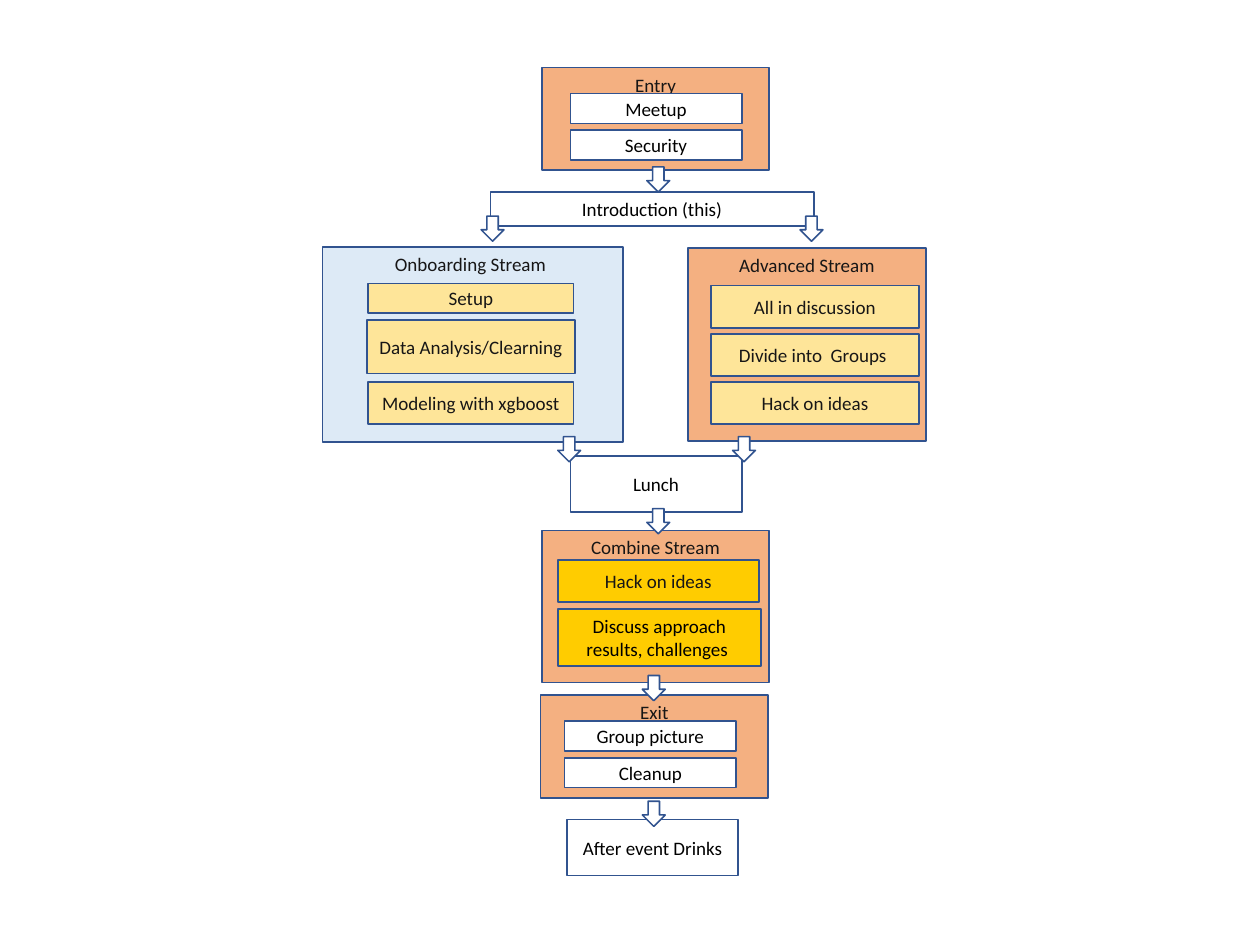
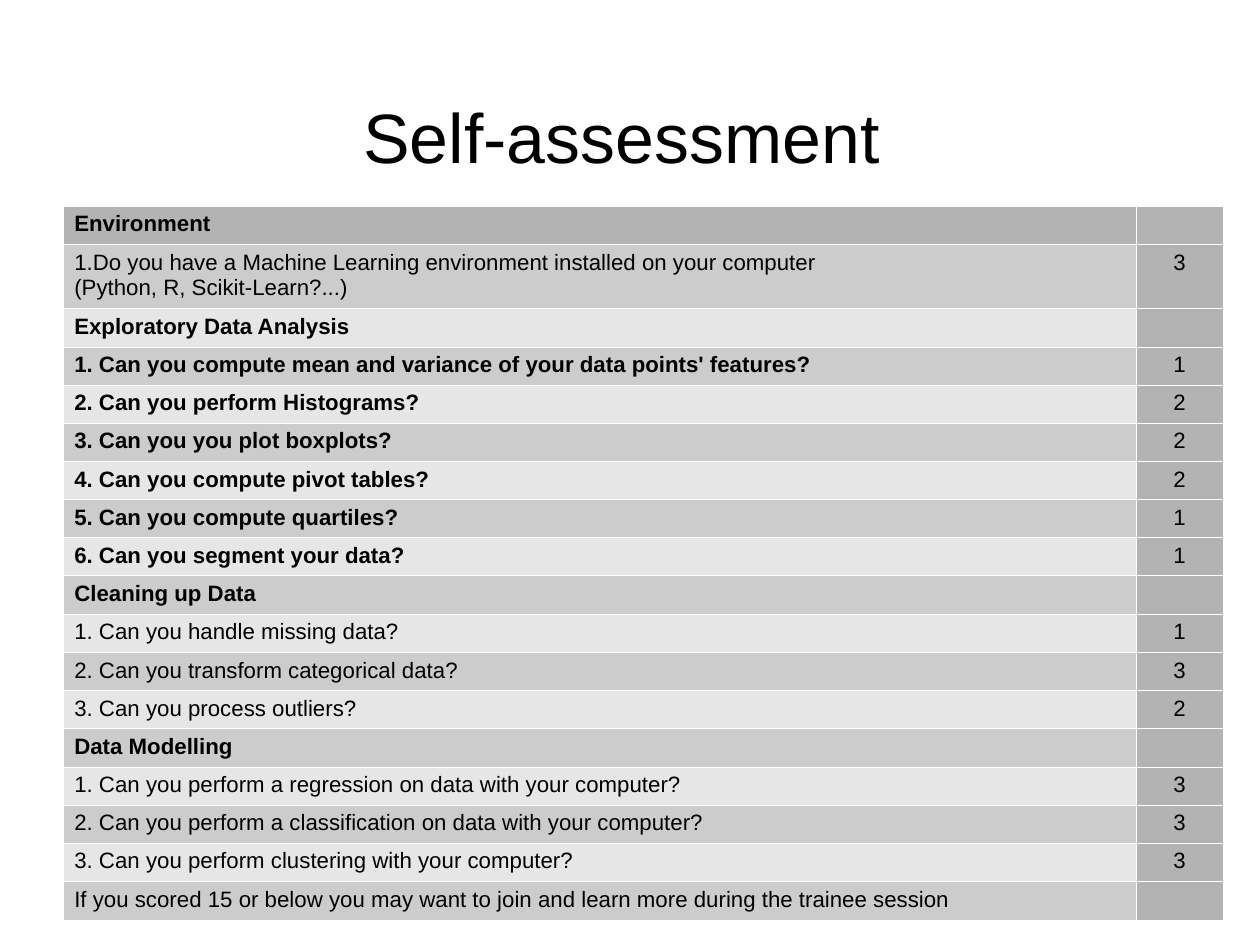
from lxml import etree
from pptx import Presentation
from pptx.dml.color import RGBColor
from pptx.enum import shapes, text
from pptx.oxml.ns import qn
from pptx.util import Cm, Inches, Pt

COLORS = {
    "white": "FFFFFF", "black": "000000", "ink": "171616", "outline": "31538F",
    "orange": "F4B081", "blue": "DDEAF6", "cream": "FEE599", "gold": "FFCC00",
    "header": "B3B3B3", "odd": "CCCCCC", "even": "E6E6E6",
}
FLOW_FONT, FLOW_SIZE = "Calibri", 12
TABLE_FONT, TABLE_SIZE, TITLE_SIZE = "Arial", 14, 44

STAGES = [
    ((4.74, 0.59, 1.99, 0.9), "Entry", "orange", "white", [
        (0.25, 0.23, 1.5, 0.26, "Meetup", "black"),
        (0.25, 0.55, 1.5, 0.26, "Security", "black")]),
    ((2.82, 2.16, 2.63, 1.71), "Onboarding Stream ", "blue", "cream", [
        (0.4, 0.32, 1.8, 0.26, "Setup", "ink"),
        (0.39, 0.64, 1.82, 0.47, "Data Analysis/Clearning", "ink"),
        (0.4, 1.18, 1.8, 0.37, "Modeling with xgboost", "ink")]),
    ((6.02, 2.17, 2.08, 1.69), "Advanced Stream", "orange", "cream", [
        (0.2, 0.33 + 0.42 * row, 1.82, 0.37, label, "ink")
        for row, label in enumerate(
            ["All in discussion", "Divide into  Groups ", "Hack on ideas"])]),
    ((4.74, 4.64, 1.99, 1.33), "Combine Stream", "orange", "gold", [
        (0.14, 0.26, 1.76, 0.37, "Hack on ideas", "ink"),
        (0.14, 0.69, 1.78, 0.5, "Discuss approach results, challenges ", "black")]),
    ((4.73, 6.08, 1.99, 0.9), "Exit", "orange", "white", [
        (0.21, 0.23, 1.5, 0.26, "Group picture", "black"),
        (0.21, 0.55, 1.5, 0.26, "Cleanup", "black")]),
]
MILESTONES = [
    ((4.29, 1.68, 2.83, 0.3), "Introduction (this)"),
    ((4.99, 3.99, 1.5, 0.49), "Lunch"),
    ((4.96, 7.17, 1.5, 0.49), "After event Drinks"),
]
ARROWS = [(5.66, 1.46), (4.21, 1.89), (7, 1.89), (4.88, 3.82), (6.41, 3.82),
          (5.66, 4.45), (5.62, 5.91), (5.62, 7.01)]

SECTIONS = [
    ("Environment", False, [
        ("1.Do you have a Machine Learning environment installed on your computer\n"
         "(Python, R, Scikit-Learn?...)", 3)]),
    ("Exploratory Data Analysis", True, [
        ("1. Can you compute mean and variance of your data points' features?", 1),
        ("2. Can you perform Histograms?", 2),
        ("3. Can you you plot boxplots?", 2),
        ("4. Can you compute pivot tables?", 2),
        ("5. Can you compute quartiles?", 1),
        ("6. Can you segment your data?", 1)]),
    ("Cleaning up Data", False, [
        ("1. Can you handle missing data?", 1),
        ("2. Can you transform categorical data?", 3),
        ("3. Can you process outliers?", 2)]),
    ("Data Modelling", False, [
        ("1. Can you perform a regression on data with your computer?", 3),
        ("2. Can you perform a classification on data with your computer?", 3),
        ("3. Can you perform clustering with your computer?", 3)]),
]
ADVICE = ("If you scored 15 or below you may want to join and learn more "
          "during the trainee session")


def rgb(name):
    return RGBColor.from_string(COLORS[name])


def add_run(paragraph, words, font, size, ink="black", bold=False):
    run = paragraph.add_run()
    run.text = words
    run.font.name, run.font.size, run.font.bold = font, Pt(size), bold
    run.font.color.rgb = rgb(ink)


def add_outlined(slide, preset, box, fill):
    outlined = slide.shapes.add_shape(preset, *map(Inches, box))
    outlined.shadow.inherit = False
    outlined.fill.solid()
    outlined.fill.fore_color.rgb = rgb(fill)
    outlined.line.color.rgb = rgb("outline")
    outlined.line.width = Pt(1)
    return outlined


def add_box(slide, box, label, fill, ink="black", anchor=text.MSO_ANCHOR.MIDDLE):
    frame = add_outlined(slide, shapes.MSO_SHAPE.RECTANGLE, box, fill).text_frame
    frame.word_wrap = True
    frame.vertical_anchor = anchor
    frame.paragraphs[0].alignment = text.PP_ALIGN.CENTER
    add_run(frame.paragraphs[0], label, FLOW_FONT, FLOW_SIZE, ink)


def add_stage(slide, box, title, fill, step_fill, steps):
    add_box(slide, box, title, fill, "ink", text.MSO_ANCHOR.TOP)
    left, top = box[:2]
    for dx, dy, width, height, label, ink in steps:
        add_box(slide, (left + dx, top + dy, width, height), label, step_fill, ink)


def build_agenda(deck):
    slide = deck.slides.add_slide(deck.slide_layouts[6])
    for stage in STAGES:
        add_stage(slide, *stage)
    for box, label in MILESTONES:
        add_box(slide, box, label, "white")
    for left, top in ARROWS:
        add_outlined(slide, shapes.MSO_SHAPE.DOWN_ARROW, (left, top, 0.2, 0.22), "white")


def set_title(slide, box, words):
    title = slide.shapes.title
    title.left, title.top, title.width, title.height = map(Inches, box)
    frame = title.text_frame
    frame.margin_left = frame.margin_right = frame.margin_top = frame.margin_bottom = 0
    frame.auto_size = text.MSO_AUTO_SIZE.NONE
    frame.word_wrap = True
    frame.vertical_anchor = text.MSO_ANCHOR.MIDDLE
    frame.paragraphs[0].alignment = text.PP_ALIGN.CENTER
    add_run(frame.paragraphs[0], words, TABLE_FONT, TITLE_SIZE)


def format_cell(cell, words, fill, bold=False, align=text.PP_ALIGN.LEFT):
    properties = cell._tc.get_or_add_tcPr()
    for side in ("a:lnL", "a:lnR", "a:lnT", "a:lnB"):
        border = etree.SubElement(properties, qn(side), w=str(Pt(0.06)))
        paint = etree.SubElement(border, qn("a:solidFill"))
        etree.SubElement(paint, qn("a:srgbClr"), val=COLORS["white"])
    cell.fill.solid()
    cell.fill.fore_color.rgb = rgb(fill)
    for index, line in enumerate(words.split("\n")):
        frame = cell.text_frame
        paragraph = frame.add_paragraph() if index else frame.paragraphs[0]
        paragraph.alignment = align
        if line:
            add_run(paragraph, line, TABLE_FONT, TABLE_SIZE, bold=bold)
        else:
            etree.SubElement(paragraph._p, qn("a:endParaRPr"), sz=str(TABLE_SIZE * 100))


def add_scorecard(slide, box):
    rows = []
    for heading, bold, questions in SECTIONS:
        rows.append((heading, "", True))
        rows += [(question, str(score), bold) for question, score in questions]
    rows.append((ADVICE, "", False))

    left, top, width, height = map(Inches, box)
    table = slide.shapes.add_table(len(rows), 2, left, top, width, height).table
    table.first_row = table.horz_banding = False
    score_width, double_height = Inches(0.76), Inches(0.56)
    table.columns[0].width = width - score_width
    table.columns[1].width = score_width
    single_height = (height - double_height) // (len(rows) - 1)
    for index, (question, score, bold) in enumerate(rows):
        table.rows[index].height = double_height if "\n" in question else single_height
        band = "odd" if index % 2 else "even" if index else "header"
        format_cell(table.cell(index, 0), question, band, bold)
        format_cell(table.cell(index, 1), score, "header", align=text.PP_ALIGN.CENTER)


def build_assessment(deck):
    slide = deck.slides.add_slide(deck.slide_layouts[5])
    set_title(slide, (0.48, 0.5, 9.92, 1.38), "Self-assessment")
    add_scorecard(slide, (0.55, 1.8, 10.15, 6.23))


def main():
    deck = Presentation()
    deck.slide_width, deck.slide_height = Cm(28), Cm(21)
    build_agenda(deck)
    build_assessment(deck)
    deck.save("out.pptx")


if __name__ == "__main__":
    main()
